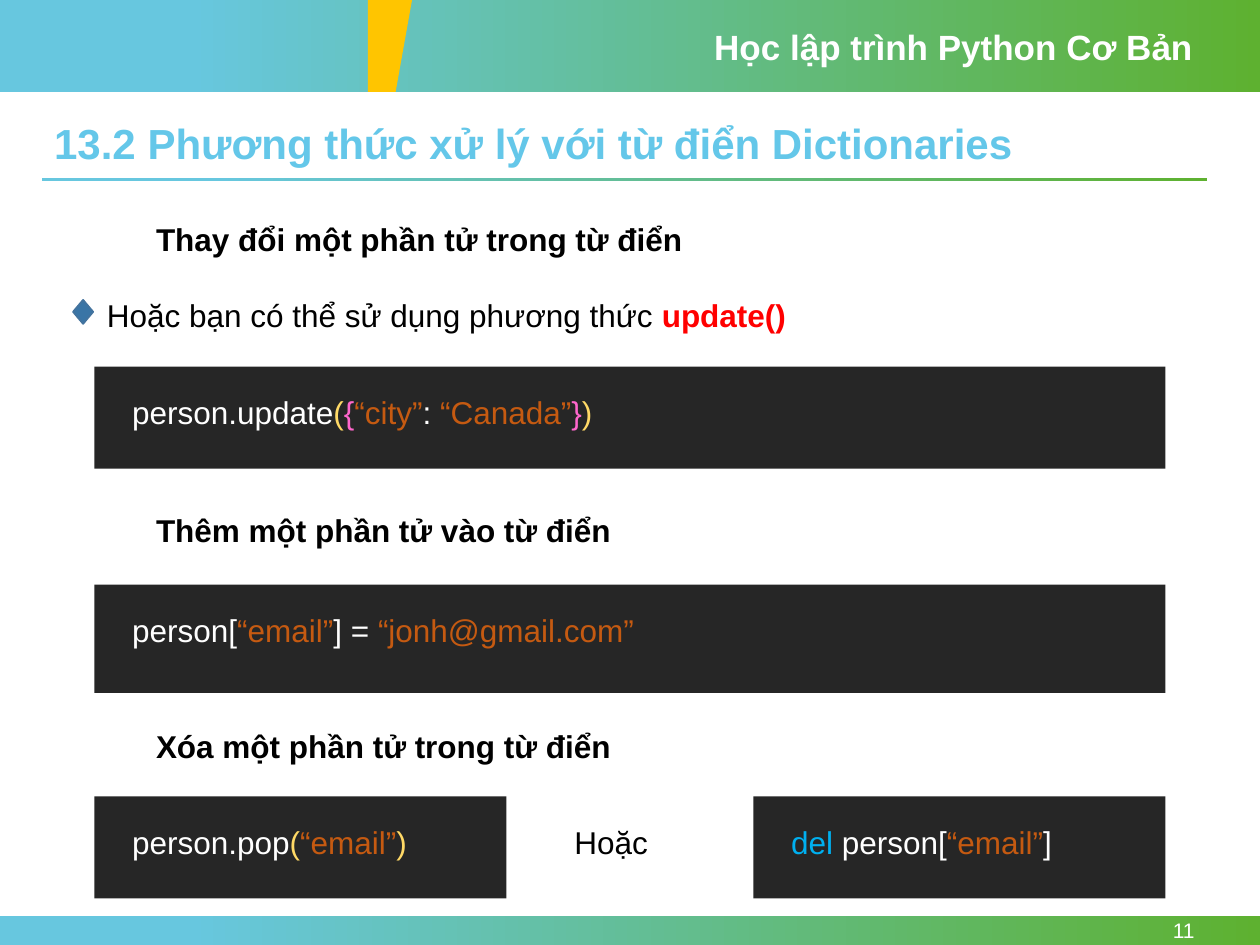
"""Build the slide on changing, adding and deleting dictionary items in Python."""
from pptx import Presentation
from pptx import util as u
from pptx.dml.color import RGBColor
from pptx.enum import shapes, text

THEME = {
    "font": "Arial",
    "sizes": {"title": 24, "header": 20, "body": 18, "number": 12},
    "colours": {
        "sky": "67C7DF", "leaf": "5EB130", "accent": "FFC500", "title": "64C7E9",
        "bullet": "3A75A6", "bullet_line": "43739E", "panel": "262626",
        "white": "FFFFFF", "black": "000000", "red": "FF0000", "string": "C55A11",
        "paren": "FFD966", "brace": "FF66CC", "keyword": "00B0F0",
    },
}
WIDTH, HEIGHT = 10, 7.5
MARGIN, CONTENT_W = 0.33, 9.25
HEADER_H, FOOTER_H = 0.73, 0.23
LEFT, PANEL_W, HALF_W = 0.75, 8.5, 3.27
HEADING_X, HEADING_W, LINE_H = 1.14, 7.03, 0.4
PAD_X, PAD_Y = 0.2, 0.16

TITLE = "13.2 Phương thức xử lý với từ điển Dictionaries"
HEADER = "Học lập trình Python Cơ Bản"
NUMBER = "11"
HEADINGS = [
    (1.7, "Thay đổi một phần tử trong từ điển"),
    (4.01, "Thêm một phần tử vào từ điển"),
    (5.72, "Xóa một phần tử trong từ điển"),
]
HINT = [("Hoặc bạn có thể sử dụng phương thức ", "black"), ("update()", "red")]
OR_WORD = "Hoặc"
PANELS = [
    (LEFT, 2.91, PANEL_W, 0.81, [
        ("person.update", "white"), ("(", "paren"), ("{", "brace"),
        ("“city”", "string"), (": ", "white"), ("“Canada”", "string"),
        ("}", "brace"), (")", "paren")]),
    (LEFT, 4.64, PANEL_W, 0.86, [
        ("person[", "white"), ("“email”", "string"), ("] = ", "white"),
        ("“jonh@gmail.com”", "string")]),
    (LEFT, 6.32, HALF_W, 0.81, [
        ("person.pop", "white"), ("(", "paren"), ("“email”", "string"), (")", "paren")]),
    (LEFT + PANEL_W - HALF_W, 6.32, HALF_W, 0.81, [
        ("del", "keyword"), (" person[", "white"), ("“email”", "string"), ("]", "white")]),
]


def colour(name):
    return RGBColor.from_string(THEME["colours"][name])


def inches(*lengths):
    return [u.Inches(length) for length in lengths]


def paint(sp, fill, line=None):
    sp.shadow.inherit = False
    sp.fill.solid()
    sp.fill.fore_color.rgb = colour(fill)
    if line:
        sp.line.color.rgb = colour(line)
        sp.line.width = u.Pt(1)
    else:
        sp.line.fill.background()


def add_box(s, box, fill, line=None, kind=shapes.MSO_SHAPE.RECTANGLE):
    sp = s.shapes.add_shape(kind, *inches(*box))
    paint(sp, fill, line)
    return sp


def add_band(s, box):
    sp = add_box(s, box, "sky")
    sp.fill.gradient()
    sp.fill.gradient_angle = 0
    for stop, (position, name) in zip(sp.fill.gradient_stops, [(0.15, "sky"), (1, "leaf")]):
        stop.position = position
        stop.color.rgb = colour(name)


def write(sp, runs, size="body", bold=False, align=text.PP_ALIGN.LEFT,
          anchor=text.MSO_ANCHOR.TOP):
    tf = sp.text_frame
    tf.word_wrap = True
    tf.auto_size = text.MSO_AUTO_SIZE.NONE
    tf.vertical_anchor = anchor
    p = tf.paragraphs[0]
    p.alignment = align
    p.font.name = THEME["font"]
    p.font.size = u.Pt(THEME["sizes"][size])
    p.font.bold = bold
    for words, name in runs:
        r = p.add_run()
        r.text = words
        r.font.color.rgb = colour(name)
        if name == "red":
            r.font.bold = True
    return p


def add_text(s, box, runs, **style):
    return write(s.shapes.add_textbox(*inches(*box)), runs, **style)


def add_frame(s):
    add_band(s, (0, 0, WIDTH, HEADER_H))
    add_band(s, (0, HEIGHT - FOOTER_H, WIDTH, FOOTER_H))
    add_band(s, (MARGIN, 1.41, CONTENT_W, 0.03))
    wedge = s.shapes.build_freeform(*inches(2.92, 0))
    wedge.add_line_segments([inches(*point) for point in
                             [(3.27, 0), (3.14, HEADER_H), (2.92, HEADER_H)]])
    paint(wedge.convert_to_shape(), "accent")
    add_text(s, (5.57, 0.15, 4, 0.44), [(HEADER, "white")], size="header", bold=True)
    add_text(s, (8.66, HEIGHT - FOOTER_H, 0.92, FOOTER_H), [(NUMBER, "white")],
             size="number", align=text.PP_ALIGN.RIGHT, anchor=text.MSO_ANCHOR.MIDDLE)


def add_title(s):
    sp = s.shapes.title
    sp.left, sp.top, sp.width, sp.height = inches(MARGIN, 0.93, CONTENT_W, 0.46)
    p = write(sp, [(TITLE, "title")], size="title", bold=True)
    p.line_spacing = 0.9


def main():
    prs = Presentation()
    prs.slide_width, prs.slide_height = inches(WIDTH, HEIGHT)
    s = prs.slides.add_slide(prs.slide_layouts[5])
    add_frame(s)
    add_title(s)
    for y, heading in HEADINGS:
        add_text(s, (HEADING_X, y, HEADING_W, LINE_H), [(heading, "black")], bold=True)
    add_box(s, (0.58, 2.38, 0.16, 0.19), "bullet", "bullet_line",
            shapes.MSO_SHAPE.FLOWCHART_DECISION)
    add_text(s, (LEFT, 2.3, 8.83, LINE_H), HINT)
    for x, y, w, h, code in PANELS:
        add_box(s, (x, y, w, h), "panel")
        add_text(s, (x + PAD_X, y + PAD_Y, w - 2 * PAD_X, LINE_H), code)
    add_text(s, (4.46, 6.48, 0.99, LINE_H), [(OR_WORD, "black")])
    prs.save("out.pptx")


if __name__ == "__main__":
    main()
